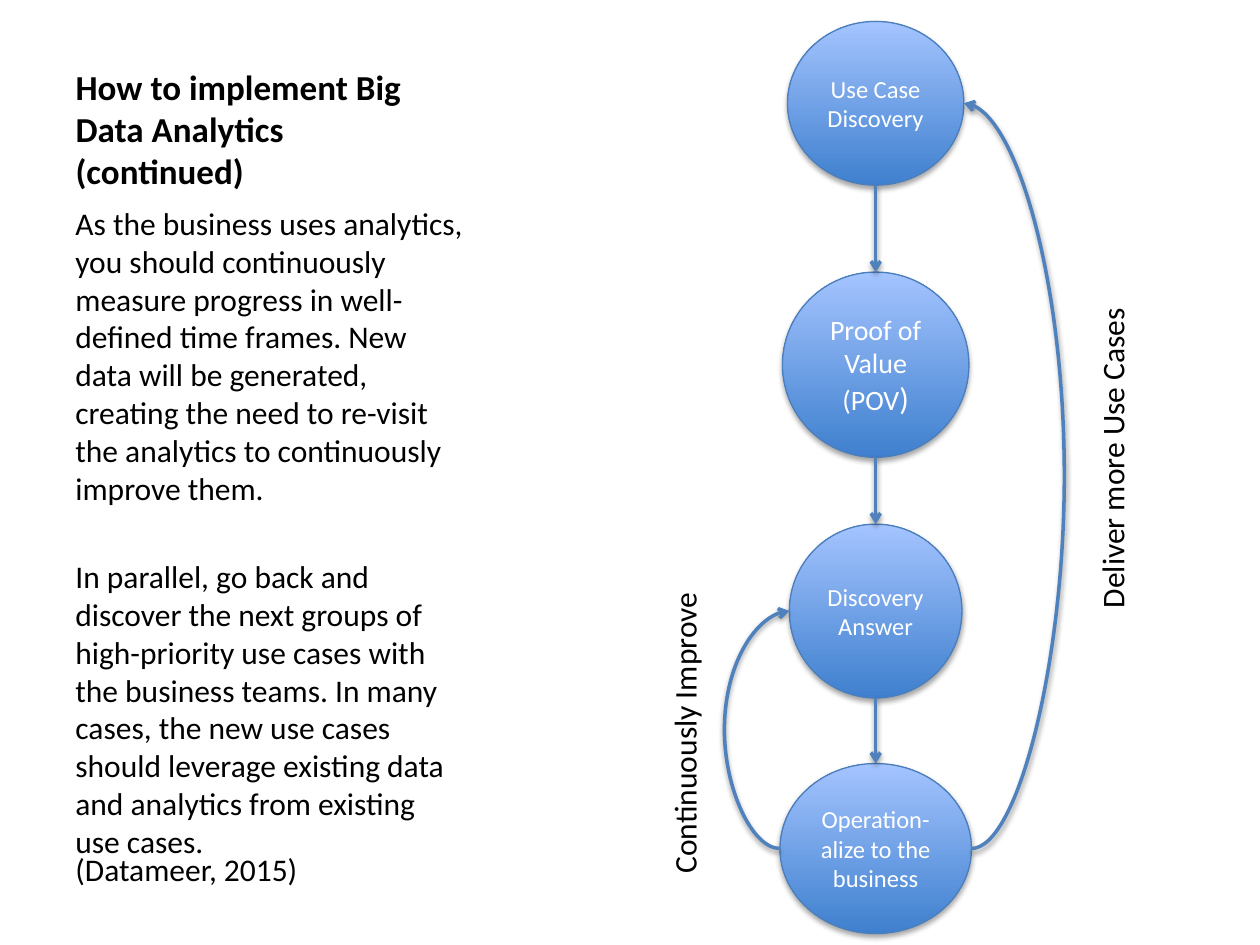
from dataclasses import dataclass

from lxml import etree
from pptx import Presentation
from pptx.dml import color
from pptx.enum import shapes, text
from pptx.oxml import ns
from pptx.util import Inches, Pt


def rgb(value):
    """Turn a hex string into a colour."""
    return color.RGBColor.from_string(value)


@dataclass(frozen=True)
class Theme:
    """Colours, font and type sizes of the slide."""

    font: str = "Calibri"
    ink: str = "000000"
    light: str = "FFFFFF"
    dark_blue: str = "3F80CE"
    pale_blue: str = "A4C4FF"
    outline: str = "4B7EBC"
    arrow: str = "4F81BD"
    title: int = 20
    body: int = 18
    step: int = 14
    large_step: int = 16


THEME = Theme()
CENTRE = 6.95
STEPS = [
    ((1.4, 1.3), 0.17, [[("Use Case Discovery", THEME.step)]]),
    ((1.48, 1.47), 2.16, [[("Proof of Value", THEME.large_step)],
                          [("(POV", THEME.large_step), (")", THEME.body)]]),
    ((1.37, 1.38), 4.16, [[("Discovery Answer", THEME.step)]]),
    ((1.52, 1.35), 6.06, [[("Operation-alize to the business", THEME.step)]]),
]
BODY = [
    "As the business uses analytics, you should continuously measure progress "
    "in well- defined time frames. New data will be generated, creating the "
    "need to re-visit the analytics to continuously improve them.",
    "In parallel, go back and discover the next groups of high-priority use "
    "cases with the business teams. In many cases, the new use cases should "
    "leverage existing data and analytics from existing use cases.",
]


def place(shape, box):
    """Move and size a shape to a box in inches."""
    shape.left, shape.top, shape.width, shape.height = map(Inches, box)


def write(frame, paragraphs, ink=THEME.ink, bold=False, align=text.PP_ALIGN.LEFT,
          anchor=text.MSO_ANCHOR.TOP, gap=0, wrap=True):
    """Fill a text frame with paragraphs of (words, size) spans."""
    frame.auto_size = text.MSO_AUTO_SIZE.NONE
    frame.word_wrap = wrap
    frame.vertical_anchor = anchor
    for index, spans in enumerate(paragraphs):
        para = frame.add_paragraph() if index else frame.paragraphs[0]
        para.alignment = align
        para.space_before = Pt(gap if index else 0)
        for words, size in spans:
            for part, line in enumerate(words.split("\n")):
                if part:
                    para.add_line_break()
                span = para.add_run()
                span.text = line
                span.font.name = THEME.font
                span.font.size = Pt(size)
                span.font.bold = bold
                span.font.color.rgb = rgb(ink)


def add_shadow(shape, alpha, distance):
    """Give a shape or connector a soft shadow straight below it."""
    effects = etree.SubElement(shape._element.spPr, ns.qn("a:effectLst"))
    outer = etree.SubElement(effects, ns.qn("a:outerShdw"), blurRad=str(Pt(3.1)),
                             dist=str(Pt(distance)), dir="5400000", rotWithShape="0")
    tint = etree.SubElement(outer, ns.qn("a:srgbClr"), val="000000")
    etree.SubElement(tint, ns.qn("a:alpha"), val=str(alpha * 1000))


def add_title(page, box):
    """Place and format the title placeholder."""
    title = page.shapes.title
    place(title, box)
    write(title.text_frame,
          [[("How to implement Big Data Analytics\n(continued)", THEME.title)]],
          bold=True, anchor=text.MSO_ANCHOR.BOTTOM)


def add_body(page, box):
    """Add the two explanatory paragraphs."""
    body = page.shapes.add_textbox(*map(Inches, box))
    write(body.text_frame, [[(words, THEME.body)] for words in BODY], gap=29)


def add_label(page, box, words, rotation=0):
    """Add a one-line label, turned when asked."""
    label = page.shapes.add_textbox(*map(Inches, box))
    label.rotation = rotation
    write(label.text_frame, [[(words, THEME.body)]], wrap=False)
    label.text_frame.auto_size = text.MSO_AUTO_SIZE.SHAPE_TO_FIT_TEXT


def add_step(page, box, paragraphs):
    """Add one gradient circle of the process."""
    step = page.shapes.add_shape(shapes.MSO_SHAPE.OVAL, *map(Inches, box))
    step.fill.gradient()
    step.fill.gradient_angle = 90
    for stop, tone in zip(step.fill.gradient_stops, (THEME.dark_blue, THEME.pale_blue)):
        stop.color.rgb = rgb(tone)
    step.line.color.rgb = rgb(THEME.outline)
    step.line.width = Pt(0.75)
    add_shadow(step, 35, 1.8)
    write(step.text_frame, paragraphs, ink=THEME.light,
          align=text.PP_ALIGN.CENTER, anchor=text.MSO_ANCHOR.MIDDLE)


def add_arrow(page, start, end, bend=None):
    """Add a straight arrow, or a curved one that swings out to x = bend."""
    kind = shapes.MSO_CONNECTOR.STRAIGHT if bend is None else shapes.MSO_CONNECTOR.CURVE
    arrow = page.shapes.add_connector(kind, *map(Inches, start + end))
    arrow.line.color.rgb = rgb(THEME.arrow)
    arrow.line.width = Pt(2)
    properties = arrow._element.spPr
    etree.SubElement(properties.find(ns.qn("a:ln")), ns.qn("a:tailEnd"), type="arrow")
    add_shadow(arrow, 38, 1.6)
    if bend is not None:
        share = round((bend - start[0]) / (end[0] - start[0]) * 100000)
        guides = properties.find(ns.qn("a:prstGeom")).get_or_add_avLst()
        etree.SubElement(guides, ns.qn("a:gd"), name="adj1", fmla=f"val {share}")


def add_process(page, centre):
    """Add the column of steps, its arrows and its two feedback loops."""
    boxes = [(centre - width / 2, top, width, height)
             for (width, height), top, _ in STEPS]
    for box, (_, _, paragraphs) in zip(boxes, STEPS):
        add_step(page, box, paragraphs)
    for upper, lower in zip(boxes, boxes[1:]):
        add_arrow(page, (centre, upper[1] + upper[3]), (centre, lower[1]))
    left = [(x, y + height / 2) for x, y, _, height in boxes]
    right = [(x + width, y + height / 2) for x, y, width, height in boxes]
    add_arrow(page, left[3], left[2], bend=5.75)
    add_arrow(page, right[3], right[0], bend=8.45)
    add_label(page, (7.52, 3.42, 2.61, 0.4), "Deliver more Use Cases", rotation=270)
    add_label(page, (4.2, 5.6, 2.46, 0.4), "Continuously Improve", rotation=270)


def main():
    """Build and save the slide."""
    deck = Presentation()
    deck.slide_width, deck.slide_height = Inches(10), Inches(7.5)
    page = deck.slides.add_slide(deck.slide_layouts.get_by_name("Title Only"))
    add_title(page, (0.5, 0.3, 3.29, 1.27))
    add_body(page, (0.5, 1.57, 3.29, 5.13))
    add_process(page, CENTRE)
    add_label(page, (0.5, 6.7, 2.01, 0.4), "(Datameer, 2015)")
    deck.save("out.pptx")


if __name__ == "__main__":
    main()
